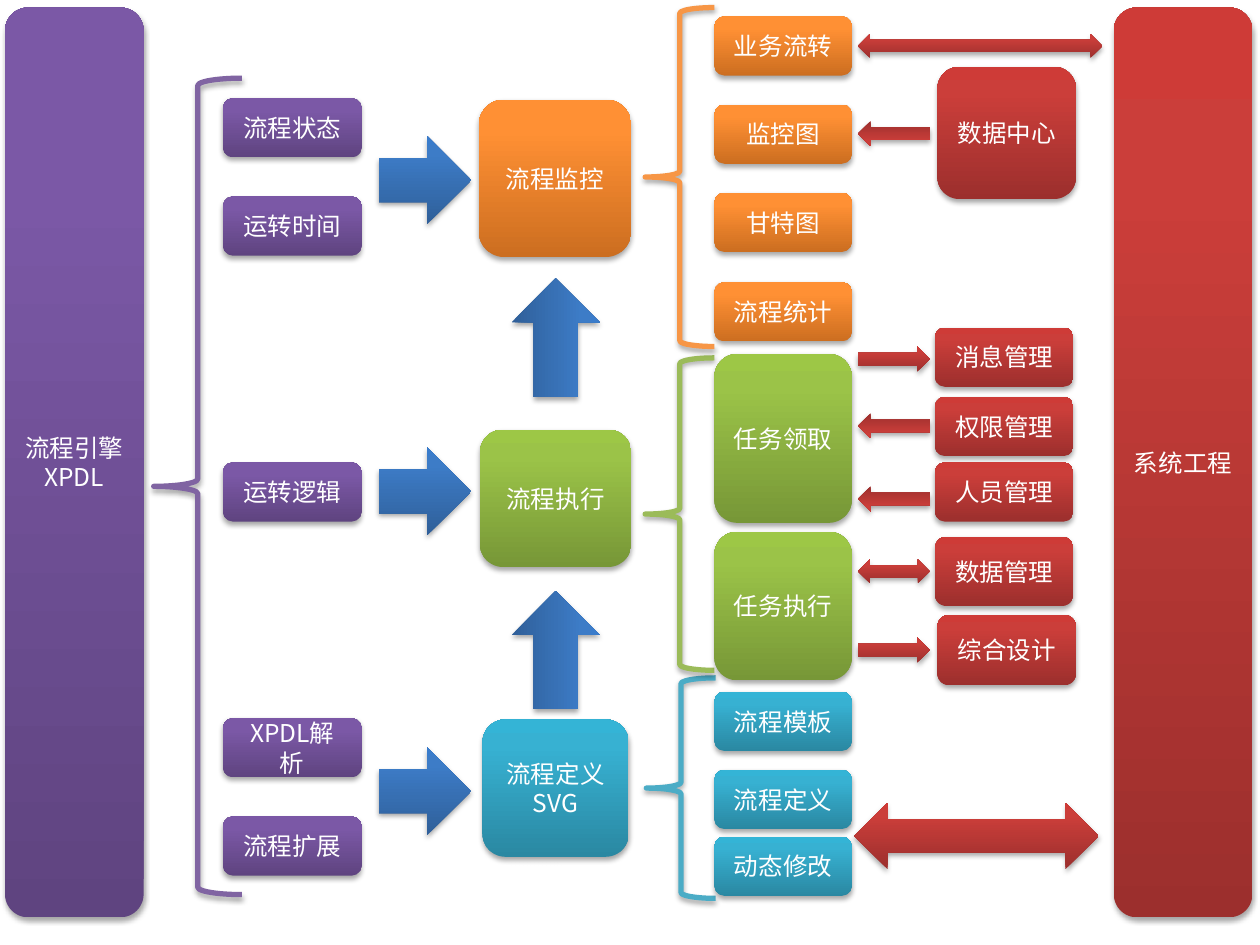
from copy import deepcopy
from dataclasses import dataclass

from lxml import etree
from pptx import Presentation
from pptx import util as u
from pptx.dml import color
from pptx.enum import shapes, text
from pptx.oxml import ns

FONT = "Noto Sans CJK SC"
COLORS = {
    "purple": ("5F4480", "7B58A6", "7C57A8"),
    "teal": ("2A88A2", "37B1D2", "34B4D6"),
    "green": ("779737", "9BC348", "9DC746"),
    "orange": ("CC6E20", "FF9034", "FF9136"),
    "blue": ("2F5F99", "3D7CC7", "3A7CCB"),
    "red": ("9C2F2D", "CB3E3A", "CE3B37"),
}
LINES = {"purple": "8064A2", "teal": "4BACC6", "green": "9BBB59", "orange": "F79646"}
WHITE = "FFFFFF"
STOPS = (0, 0.8, 1)
BOX = shapes.MSO_SHAPE.FLOWCHART_ALTERNATE_PROCESS
BRACE = shapes.MSO_SHAPE.LEFT_BRACE
RIGHT = shapes.MSO_SHAPE.RIGHT_ARROW
BOTH = shapes.MSO_SHAPE.LEFT_RIGHT_ARROW


@dataclass
class Item:
    x: float
    y: float
    w: float
    h: float
    color: str
    label: str = ""
    kind: shapes.MSO_SHAPE = BOX
    rot: int = 0
    flip: bool = False


def column(x: float, w: float, name: str, rows: list[tuple[float, str]]) -> list[Item]:
    return [Item(x, y, w, 0.47, name, label) for y, label in rows]


def add_shadow(s) -> None:
    s.shadow.inherit = False
    effects = s.element.spPr.find(ns.qn("a:effectLst"))
    shadow = etree.SubElement(effects, ns.qn("a:outerShdw"), blurRad=str(u.Pt(3.1)),
                              dist=str(u.Pt(1.8)), dir="5400000", rotWithShape="0")
    black = etree.SubElement(shadow, ns.qn("a:srgbClr"), val="000000")
    etree.SubElement(black, ns.qn("a:alpha"), val="35000")


def add_gradient(s, name: str) -> None:
    s.fill.gradient()
    s.fill.gradient_angle = 90
    stops = s.element.spPr.find(ns.qn("a:gradFill")).find(ns.qn("a:gsLst"))
    stops.append(deepcopy(stops[-1]))
    for stop, position, value in zip(s.fill.gradient_stops, STOPS, COLORS[name]):
        stop.position = position
        stop.color.rgb = color.RGBColor.from_string(value)


def add_label(s, label: str) -> None:
    tf = s.text_frame
    tf.word_wrap = True
    tf.vertical_anchor = text.MSO_ANCHOR.MIDDLE
    for i, line in enumerate(label.split("\n")):
        p = tf.add_paragraph() if i else tf.paragraphs[0]
        p.alignment = text.PP_ALIGN.CENTER
        r = p.add_run()
        r.text = line
        r.font.size = u.Pt(14)
        r.font.name = FONT
        r.font.color.rgb = color.RGBColor.from_string(WHITE)
        etree.SubElement(r.font._element, ns.qn("a:ea"), typeface=FONT)


def draw(slide, item: Item) -> None:
    s = slide.shapes.add_shape(item.kind, u.Inches(item.x), u.Inches(item.y),
                               u.Inches(item.w), u.Inches(item.h))
    s.rotation = item.rot
    if item.flip:
        s.element.spPr.xfrm.set("flipV", "1")
    if item.kind == BRACE:
        s.fill.background()
        s.line.color.rgb = color.RGBColor.from_string(LINES[item.color])
        s.line.width = u.Pt(3)
    else:
        add_gradient(s, item.color)
        s.line.fill.background()
    add_shadow(s)
    if item.label:
        add_label(s, item.label)


braces = [
    Item(1.22, 0.62, 0.7, 6.48, "purple", kind=BRACE),
    Item(5.13, 5.38, 0.55, 1.75, "teal", kind=BRACE),
    Item(5.12, 2.84, 0.55, 2.48, "green", kind=BRACE),
    Item(5.12, 0.06, 0.55, 2.69, "orange", kind=BRACE),
]
boxes = [
    Item(0.04, 0.06, 1.1, 7.22, "purple", "流程引擎\nXPDL"),
    *column(1.77, 1.1, "purple", [(0.78, "流程状态"), (1.56, "运转时间"), (3.67, "运转逻辑"),
                                  (5.7, "XPDL解析"), (6.48, "流程扩展")]),
    Item(3.8, 0.79, 1.21, 1.25, "orange", "流程监控"),
    Item(3.81, 3.41, 1.2, 1.09, "green", "流程执行"),
    Item(3.83, 5.71, 1.16, 1.09, "teal", "流程定义\nSVG"),
    *column(5.67, 1.09, "orange", [(0.13, "业务流转"), (0.83, "监控图"),
                                   (1.53, "甘特图"), (2.24, "流程统计")]),
    Item(5.67, 2.81, 1.09, 1.34, "green", "任务领取"),
    Item(5.67, 4.22, 1.09, 1.18, "green", "任务执行"),
    *column(5.67, 1.09, "teal", [(5.49, "流程模板"), (6.11, "流程定义"), (6.64, "动态修改")]),
    Item(7.44, 0.53, 1.1, 1.05, "red", "数据中心"),
    *column(7.42, 1.1, "red", [(2.6, "消息管理"), (3.15, "权限管理"), (3.67, "人员管理")]),
    Item(7.42, 4.26, 1.1, 0.55, "red", "数据管理"),
    Item(7.44, 4.88, 1.1, 0.56, "red", "综合设计"),
    Item(8.84, 0.06, 1.1, 7.22, "red", "系统工程"),
]
arrows = [
    *(Item(3.01, y, 0.73, 0.7, "blue", kind=RIGHT) for y in (1.08, 3.55, 5.93)),
    *(Item(3.94, y, 0.94, 0.7, "blue", kind=RIGHT, rot=270, flip=True) for y in (2.33, 4.81)),
    *(Item(6.81, y, 0.57, 0.2, "red", kind=RIGHT, rot=180) for y in (0.96, 3.28, 3.86)),
    *(Item(6.81, y, 0.57, 0.2, "red", kind=RIGHT) for y in (2.75, 5.06)),
    Item(6.81, 0.27, 1.94, 0.19, "red", kind=BOTH),
    Item(6.81, 4.44, 0.57, 0.19, "red", kind=BOTH),
    Item(6.78, 6.37, 1.94, 0.53, "red", kind=BOTH),
]

prs = Presentation()
prs.slide_width = u.Inches(10)
prs.slide_height = u.Inches(7.5)
slide = prs.slides.add_slide(prs.slide_layouts[6])
for item in braces + boxes + arrows:
    draw(slide, item)
prs.save("out.pptx")
